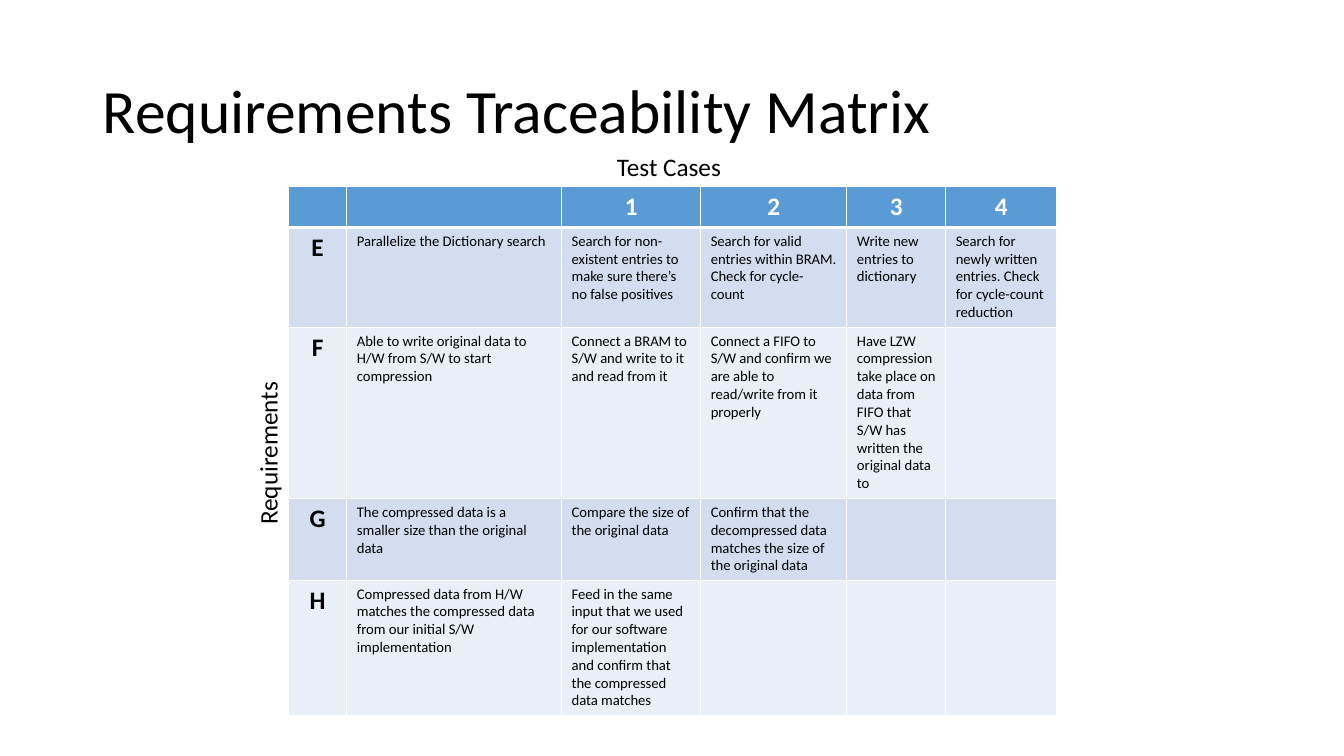
from dataclasses import dataclass

from lxml.etree import SubElement
from pptx import Presentation
from pptx.dml.color import RGBColor
from pptx.enum.text import MSO_ANCHOR, MSO_AUTO_SIZE, PP_ALIGN
from pptx.oxml.ns import qn
from pptx.util import Emu, Pt

EMU_PER_PX = 9144  # 100 px to the inch


@dataclass(frozen=True)
class Theme:
    font: str = "Calibri"
    text: str = "000000"
    light: str = "FFFFFF"
    header: str = "5B9BD5"
    bands: tuple = ("D2DEEF", "EAEFF7")
    title_size: float = 44
    label_size: float = 18
    body_size: float = 10.5
    border: float = 1
    header_rule: float = 3


THEME = Theme()

COLUMN_WIDTHS = [58, 213, 138, 145, 98, 110]
ROW_HEIGHTS = [40, 99, 170, 81, 134]
MATRIX = [
    ["", "", "1", "2", "3", "4"],
    ["E", "Parallelize the Dictionary search",
     "Search for non-existent entries to make sure there’s no false positives",
     "Search for valid entries within BRAM. Check for cycle-count",
     "Write new entries to dictionary",
     "Search for newly written entries. Check for cycle-count reduction"],
    ["F", "Able to write original data to H/W from S/W to start compression",
     "Connect a BRAM to S/W and write to it and read from it",
     "Connect a FIFO to S/W and confirm we are able to read/write from it properly",
     "Have LZW compression take place on data from FIFO that S/W has written "
     "the original data to", ""],
    ["G", "The compressed data is a smaller size than the original data",
     "Compare the size of the original data",
     "Confirm that the decompressed data matches the size of the original data",
     "", ""],
    ["H", "Compressed data from H/W matches the compressed data from our initial "
     "S/W implementation",
     "Feed in the same input that we used for our software implementation and "
     "confirm that the compressed data matches", "", "", ""],
]


def px(length):
    return Emu(length * EMU_PER_PX)


def write(text_frame, text, size, color=THEME.text, bold=False, align=PP_ALIGN.LEFT):
    text_frame.text = text
    paragraph = text_frame.paragraphs[0]
    paragraph.alignment = align
    for run in paragraph.runs:
        run.font.name = THEME.font
        run.font.size = Pt(size)
        run.font.bold = bold
        run.font.color.rgb = RGBColor.from_string(color)
    return paragraph


def add_title(slide, box, text):
    title = slide.shapes.title
    title.left, title.top, title.width, title.height = map(px, box)
    text_frame = title.text_frame
    paragraph = write(text_frame, text, THEME.title_size)
    paragraph.line_spacing = 0.9
    text_frame.vertical_anchor = MSO_ANCHOR.MIDDLE
    text_frame.auto_size = MSO_AUTO_SIZE.NONE


def add_axis_label(slide, box, text, rotation=0):
    label = slide.shapes.add_textbox(*map(px, box))
    label.rotation = rotation
    label.text_frame.word_wrap = True
    label.text_frame.auto_size = MSO_AUTO_SIZE.SHAPE_TO_FIT_TEXT
    write(label.text_frame, text, THEME.label_size)


def set_borders(cell, top, bottom):
    properties = cell._tc.get_or_add_tcPr()
    widths = {"a:lnL": THEME.border, "a:lnR": THEME.border, "a:lnT": top, "a:lnB": bottom}
    # Border lines come before the fill in the cell properties
    for position, (tag, width) in enumerate(widths.items()):
        line = SubElement(properties, qn(tag), w=str(Pt(width)))
        fill = SubElement(line, qn("a:solidFill"))
        SubElement(fill, qn("a:srgbClr"), val=THEME.light)
        properties.insert(position, line)


def format_cell(cell, row, column, text):
    is_header = row == 0
    is_label = is_header or column == 0
    fill = THEME.header if is_header else THEME.bands[(row - 1) % 2]
    cell.fill.solid()
    cell.fill.fore_color.rgb = RGBColor.from_string(fill)
    set_borders(cell,
                top=THEME.header_rule if row == 1 else THEME.border,
                bottom=THEME.header_rule if is_header else THEME.border)
    write(cell.text_frame, text,
          size=THEME.label_size if is_label else THEME.body_size,
          color=THEME.light if is_header else THEME.text,
          bold=is_label,
          align=PP_ALIGN.CENTER if is_label else PP_ALIGN.LEFT)


def add_matrix(slide, left, top):
    box = (left, top, sum(COLUMN_WIDTHS), sum(ROW_HEIGHTS))
    table = slide.shapes.add_table(
        len(ROW_HEIGHTS), len(COLUMN_WIDTHS), *map(px, box)).table
    for column, width in zip(table.columns, COLUMN_WIDTHS):
        column.width = px(width)
    for row, height in zip(table.rows, ROW_HEIGHTS):
        row.height = px(height)
    for row, texts in enumerate(MATRIX):
        for column, text in enumerate(texts):
            format_cell(table.cell(row, column), row, column, text)


def add_traceability_region(slide, left, top):
    # Matrix with its two axis labels, placed from the matrix corner
    add_matrix(slide, left, top)
    add_axis_label(slide, (left + 316, top - 40, 130, 40), "Test Cases")
    add_axis_label(slide, (left - 107, top + 239, 173, 40), "Requirements", rotation=270)


def main():
    presentation = Presentation()
    presentation.slide_width, presentation.slide_height = px(1333), px(750)
    title_only = presentation.slide_layouts[5]
    slide = presentation.slides.add_slide(title_only)
    add_title(slide, (92, 40, 1150, 145), "Requirements Traceability Matrix")
    add_traceability_region(slide, left=286, top=185)
    presentation.save("out.pptx")


if __name__ == "__main__":
    main()
